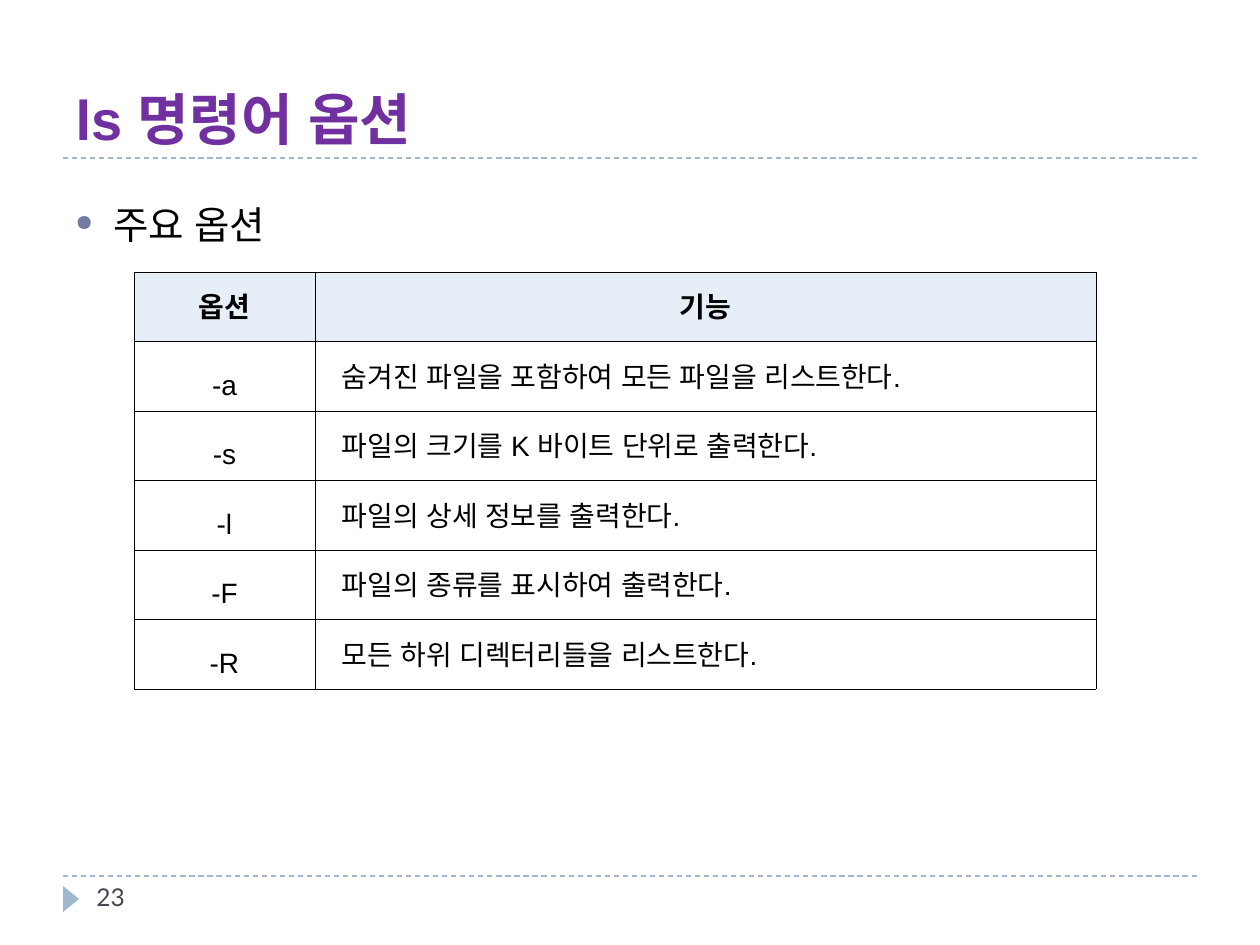
from lxml.etree import SubElement
from pptx import Presentation
from pptx.dml.color import RGBColor as RGB
from pptx.enum.dml import MSO_LINE as Dash
from pptx.enum.shapes import MSO_CONNECTOR as Conn, MSO_SHAPE as Shape
from pptx.enum.text import MSO_ANCHOR as Anchor, MSO_AUTO_SIZE as Auto, PP_ALIGN as Align
from pptx.oxml import parse_xml
from pptx.oxml.ns import nsdecls, qn
from pptx.util import Pt

SCALE = 914400 / 126
BLACK = RGB(0, 0, 0)
PURPLE = RGB(0x70, 0x30, 0xA0)
SLATE = RGB(0x46, 0x46, 0x53)
BLUE = RGB(0x9F, 0xB8, 0xCD)
BULLET = RGB(0x72, 0x7C, 0xA3)
HEAD = RGB(0xE6, 0xEE, 0xF7)

ROWS = [
    ("옵션", "기능"),
    ("-a", "숨겨진 파일을 포함하여 모든 파일을 리스트한다."),
    ("-s", "파일의 크기를 K 바이트 단위로 출력한다."),
    ("-l", "파일의 상세 정보를 출력한다."),
    ("-F", "파일의 종류를 표시하여 출력한다."),
    ("-R", "모든 하위 디렉터리들을 리스트한다."),
]


def px(n):
    return round(n * SCALE)


def write(frame, text, size, color=BLACK, bold=False, name="Arial", align=Align.LEFT):
    para = frame.paragraphs[0]
    para.alignment = align
    run = para.add_run()
    run.text = text
    look = {"size": Pt(size), "bold": bold, "name": name}
    for key, value in look.items():
        setattr(run.font, key, value)
    run.font.color.rgb = color
    SubElement(run._r.get_or_add_rPr(), qn("a:ea"), typeface=name)
    return para


def add_box(slide, box):
    frame = slide.shapes.add_textbox(*map(px, box)).text_frame
    frame.word_wrap = True
    return frame


def add_rule(slide, x, y, width):
    line = slide.shapes.add_connector(Conn.STRAIGHT, px(x), px(y), px(x + width), px(y))
    line.line.color.rgb = BLUE
    line.line.width = Pt(0.75)
    line.line.dash_style = Dash.DASH
    SubElement(line._element.spPr, qn("a:effectLst"))


def add_title(slide, box, text):
    x, y, width, height = box
    title = slide.shapes.title
    title.left, title.top, title.width, title.height = map(px, box)
    frame = title.text_frame
    frame.auto_size = Auto.NONE
    frame.vertical_anchor = Anchor.BOTTOM
    write(frame, text, 32, PURPLE, True)
    add_rule(slide, x, y + height, width)


def add_bullet(slide, box, text):
    para = write(add_box(slide, box), text, 22)
    para.space_before = Pt(6)
    props = para._p.get_or_add_pPr()
    props.set("marL", str(px(38)))
    props.set("indent", str(px(-38)))
    color = SubElement(props, qn("a:buClr"))
    SubElement(color, qn("a:srgbClr"), val=str(BULLET))
    SubElement(props, qn("a:buSzPct"), val="58000")
    SubElement(props, qn("a:buChar"), char="●")


def add_border(cell):
    props = cell._tc.get_or_add_tcPr()
    for spot, side in enumerate("LRTB"):
        props.insert(spot, parse_xml(
            f'<a:ln{side} {nsdecls("a")} w="3600"><a:solidFill>'
            f'<a:srgbClr val="{BLACK}"/></a:solidFill></a:ln{side}>'))


def fill_cell(cell, text, head, first):
    pads = {"left": 9, "right": 9, "top": 2, "bottom": 2}
    for side, pad in pads.items():
        setattr(cell, f"margin_{side}", px(pad))
    center = head or first
    flag = first and not head
    cell.vertical_anchor = Anchor.MIDDLE if flag else Anchor.TOP
    para = write(cell.text_frame, text, 16, bold=head,
                 align=Align.CENTER if center else Align.LEFT)
    para.line_spacing = 1.6
    if not center:
        para._p.get_or_add_pPr().set("marL", str(px(18)))
    if head:
        cell.fill.solid()
        cell.fill.fore_color.rgb = HEAD
    else:
        cell.fill.background()
    add_border(cell)


def add_options(slide, box, first_width):
    width, height = box[2:]
    table = slide.shapes.add_table(len(ROWS), 2, *map(px, box)).table
    table.first_row = table.horz_banding = False
    table.columns[0].width = px(first_width)
    table.columns[1].width = px(width - first_width)
    for r, row in enumerate(ROWS):
        table.rows[r].height = px(height / len(ROWS))
        for c, text in enumerate(row):
            fill_cell(table.cell(r, c), text, r == 0, c == 0)


def add_footer(slide, box, number):
    x, y, width, height = box
    add_rule(slide, x, y, width)
    mark = slide.shapes.add_shape(Shape.ISOSCELES_TRIANGLE, px(x - 5), px(y + 15), px(26), px(16))
    mark.rotation = 90
    mark.shadow.inherit = False
    mark.fill.solid()
    mark.fill.fore_color.rgb = BLUE
    mark.line.fill.background()
    write(add_box(slide, (x + 21, y, 273, height)), number, 14, SLATE, name="Lato")


def main():
    deck = Presentation()
    deck.slide_width, deck.slide_height = px(1260), px(945)
    slide = deck.slides.add_slide(deck.slide_layouts[5])
    add_title(slide, (63, 21, 1134, 137), "ls 명령어 옵션")
    add_bullet(slide, (63, 195, 1134, 654), "주요 옵션")
    add_options(slide, (134, 272, 962, 417), 181)
    add_footer(slide, (63, 876, 1134, 50), "23")
    deck.save("out.pptx")


if __name__ == "__main__":
    main()
